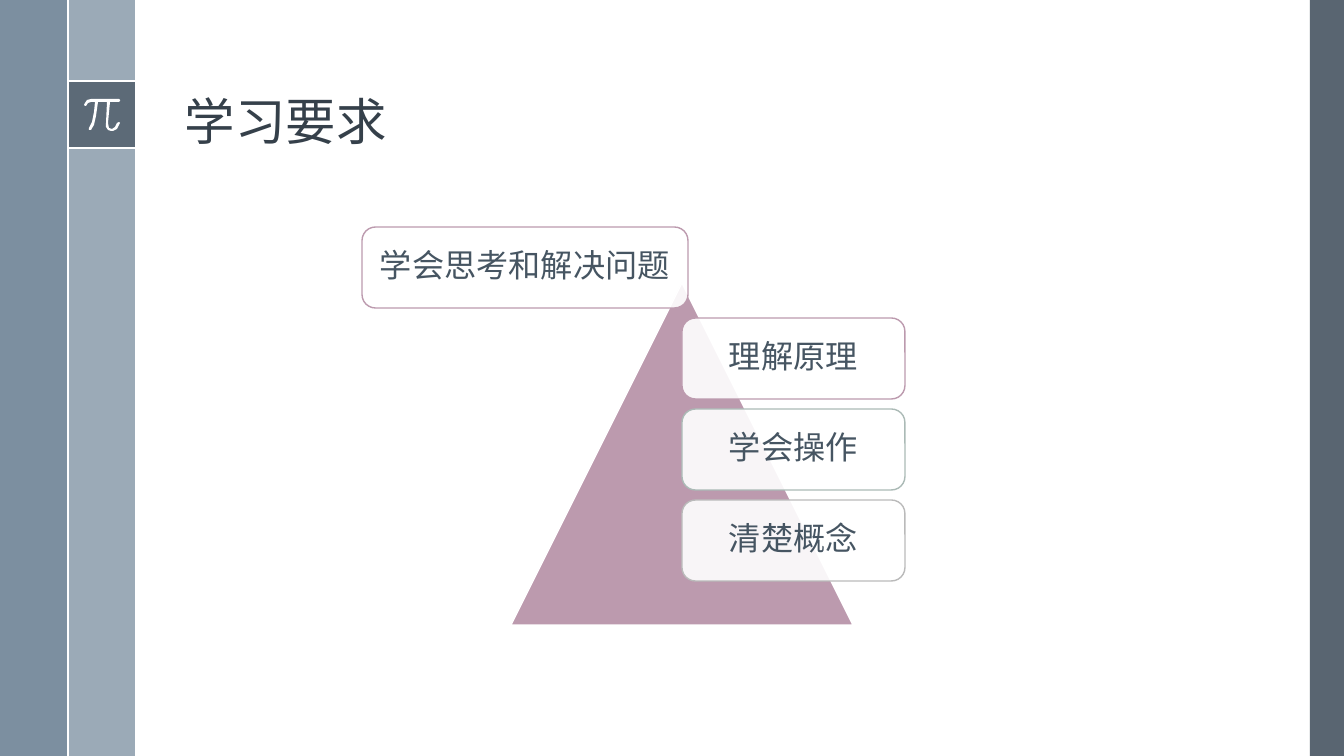
from lxml.etree import SubElement
from pptx import Presentation
from pptx.dml.color import RGBColor
from pptx.enum.shapes import MSO_CONNECTOR, MSO_SHAPE
from pptx.enum.text import MSO_ANCHOR, PP_ALIGN
from pptx.oxml.ns import qn
from pptx.util import Pt

PX = 914400 / 100.8
HUES = {
    "white": "FFFFFF", "slate": "475562", "steel": "6A8093", "mist": "9BAAB7",
    "title": "35404A", "label": "465562", "mauve": "BC9AAE", "sage": "ABBAB6",
    "grey": "BABABA",
}
CJK = "Noto Sans CJK SC"

deck = Presentation()
deck.slide_width, deck.slide_height = round(1344 * PX), round(756 * PX)
slide = deck.slides.add_slide(deck.slide_layouts[6])
shapes = slide.shapes


def paint(shape, fill, alpha=100, edge=None):
    shape.shadow.inherit = False
    shape.fill.solid()
    shape.fill.fore_color.rgb = RGBColor.from_string(HUES[fill])
    if alpha < 100:
        color = shape.fill._xPr.find(qn("a:solidFill"))[0]
        SubElement(color, qn("a:alpha"), val=str(alpha * 1000))
    if edge:
        shape.line.color.rgb = RGBColor.from_string(HUES[edge])
        shape.line.width = Pt(1)
    else:
        shape.line.fill.background()


def write(shape, text, size, face, color, align, anchor):
    frame = shape.text_frame
    frame.word_wrap = True
    frame.vertical_anchor = anchor
    para = frame.paragraphs[0]
    para.alignment = align
    para.line_spacing = 0.9
    run = para.add_run()
    run.text = text
    run.font.size = Pt(size)
    run.font.name = face
    run.font.color.rgb = RGBColor.from_string(HUES[color])
    SubElement(run.font._element, qn("a:ea"), typeface=CJK)
    return frame


for *area, fill, alpha in [
    (1310, 0, 34, 756, "slate", 90),
    (68, 0, 67, 756, "mist", 100),
    (0, 0, 68, 756, "steel", 88),
    (68, 81, 67, 67, "slate", 75),
]:
    bar = shapes.add_shape(MSO_SHAPE.RECTANGLE, *[round(n * PX) for n in area])
    paint(bar, fill, alpha)

for ends in [(68, 81, 135, 81), (68, 148, 135, 148), (68, 0, 68, 756)]:
    rule = shapes.add_connector(MSO_CONNECTOR.STRAIGHT, *[round(n * PX) for n in ends])
    rule.line.color.rgb = RGBColor.from_string(HUES["white"])
    rule.line.width = Pt(1.5)
    SubElement(rule._element.spPr, qn("a:effectLst"))

curve = [
    (119, 99), (91, 99), (87, 100), (85, 103), (84, 105), (85, 106), (86, 106),
    (88, 103), (91, 102), (95, 102), (94, 112), (92, 122), (89, 128), (89, 130),
    (91, 130), (94, 125), (96, 116), (98, 102), (107, 102), (106, 123),
    (106, 127), (108, 130), (111, 131), (113, 131), (117, 129), (120, 123),
    (119, 122), (117, 123), (115, 127), (112, 129), (109, 128), (108, 123),
    (110, 102), (119, 102), (120, 101), (120, 100),
]
path = shapes.build_freeform(*curve[0], scale=PX)
path.add_line_segments(curve[1:], close=True)
paint(path.convert_to_shape(), "white")

title = shapes.add_textbox(*[round(n * PX) for n in (175, 19, 1079, 137)])
write(title, "学习要求", 36, CJK, "title", PP_ALIGN.LEFT, MSO_ANCHOR.BOTTOM)

peak = shapes.add_shape(
    MSO_SHAPE.ISOSCELES_TRIANGLE, *[round(n * PX) for n in (511, 283, 342, 342)]
)
paint(peak, "mauve", edge="white")

for row, (text, left, width, edge) in enumerate([
    ("学会思考和解决问题", 362, 326, "mauve"),
    ("理解原理", 682, 223, "mauve"),
    ("学会操作", 682, 223, "sage"),
    ("清楚概念", 682, 223, "grey"),
]):
    area = left, 227 + 91 * row, width, 81
    card = shapes.add_shape(MSO_SHAPE.ROUNDED_RECTANGLE, *[round(n * PX) for n in area])
    paint(card, "white", 90, edge)
    frame = write(card, text, 23, "Lato", "label", PP_ALIGN.CENTER, MSO_ANCHOR.MIDDLE)
    frame.margin_left = frame.margin_right = round(10 * PX)
    frame.margin_top = frame.margin_bottom = round(10 * PX)

deck.save("out.pptx")
